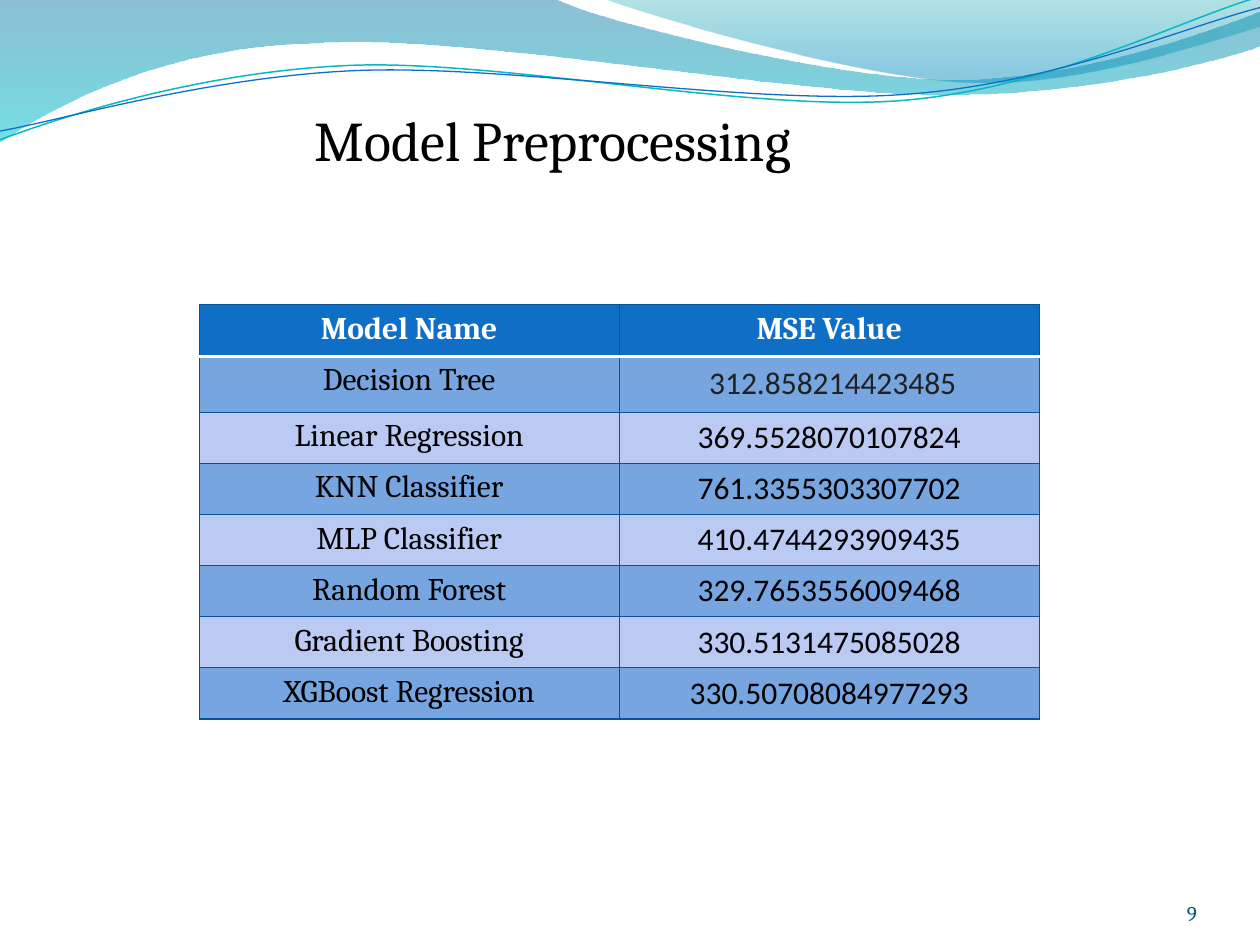
import math
from dataclasses import dataclass
from typing import Any, NamedTuple, Optional

import pptx
import pptx.dml.color
import pptx.enum.text
import pptx.oxml.ns
import pptx.util
from lxml import etree

Inches = pptx.util.Inches
Align = pptx.enum.text.PP_ALIGN
Anchor = pptx.enum.text.MSO_ANCHOR
Box = tuple[float, float, float, float]


@dataclass(frozen=True)
class Theme:
    serif: str = "Cambria"
    sans: str = "Calibri"
    blue: str = "0F6FC6"
    edge: str = "095295"
    white: str = "FFFFFF"
    black: str = "000000"
    grey: str = "212121"
    teal: str = "045D75"
    bands: tuple[str, str] = ("76A5E0", "BACAF2")
    title: int = 32
    body: int = 18
    small: int = 12


class Stop(NamedTuple):
    place: float
    color: str
    alpha: int


class Wave(NamedTuple):
    """Steps hold two numbers for a straight line, six for a Bezier curve."""
    box: Box
    start: tuple[float, float]
    steps: tuple[tuple[float, ...], ...]
    stops: tuple[Stop, ...] = ()
    color: str = ""
    width: float = 0
    turn: float = 0


class Label(NamedTuple):
    text: str
    box: Box
    size: int
    color: str
    align: Any
    frame: dict[str, Any]


class Row(NamedTuple):
    model: str
    value: str
    color: str = "000000"
    inset: Optional[float] = None


LOOK = Theme()

WAVES = (
    Wave((-0.01, -0.01, 10.02, 1.14), (0, 0), (
        (4.4, -0.01), (4.76, 0.17, 6.64, 0.63, 7.58, 0.63),
        (8.53, 0.63, 9.58, 0.26, 10, 0.09), (10.01, 0.36),
        (9.83, 0.44, 8.7, 0.76, 7.46, 0.75),
        (6.22, 0.75, 3.82, 0.28, 2.57, 0.34),
        (1.29, 0.36, 0.46, 0.83, -0.01, 1.13), (0, 0)),
        (Stop(0, "0074A1", 45), Stop(1, "00C6CF", 55))),
    Wave((4.79, -0.01, 5.21, 0.7), (4.79, -0.01), (
        (5.09, 0.11, 6.82, 0.62, 7.69, 0.65),
        (8.56, 0.69, 9.61, 0.32, 10, 0.21), (10, 0), (4.79, -0.01)),
        (Stop(0, "00A1A9", 30), Stop(0.8, "008BBF", 45))),
    Wave((-0.02, 0.22, 10.02, 0.71), (0, 1.11), (
        (0.48, 0.93, 1.58, 0.57, 2.77, 0.52),
        (3.95, 0.47, 5.93, 0.89, 7.13, 0.8),
        (8.33, 0.71, 9.38, 0.15, 9.98, -0.02)),
        color="0AB8BF", width=0.85, turn=-2.7),
    Wave((-0.02, 0.3, 10.03, 0.58), (0, 1.04), (
        (0.47, 0.96, 1.64, 0.61, 2.83, 0.56),
        (4.03, 0.51, 5.97, 0.84, 7.17, 0.75),
        (8.36, 0.67, 9.41, 0.21, 10, 0.06)),
        color=LOOK.blue, width=0.75, turn=-2.7),
)

HEADS = ("Model Name", "MSE Value")
ROWS = (
    Row("Decision Tree", " 312.858214423485", LOOK.grey, 0.07),
    Row("Linear Regression", "369.5528070107824"),
    Row("KNN Classifier", "761.3355303307702"),
    Row("MLP Classifier", "410.4744293909435"),
    Row("Random Forest", "329.7653556009468"),
    Row("Gradient Boosting", "330.5131475085028"),
    Row("XGBoost Regression", "330.50708084977293"),
)

LABELS = (
    Label("Model Preprocessing", (0.83, 0.79, 8, 0.64), LOOK.title, LOOK.black,
          Align.LEFT, {"margin_left": Inches(1.67)}),
    Label("9", (8.67, 6.95, 0.83, 0.4), LOOK.small, LOOK.teal, Align.RIGHT,
          {"vertical_anchor": Anchor.BOTTOM, "margin_left": 0,
           "margin_right": 0, "margin_top": 0, "margin_bottom": 0}),
)


def apply(item: Any, form: dict[str, Any]) -> None:
    for name, value in form.items():
        setattr(item, name, value)


def rgb(code: str) -> Any:
    return pptx.dml.color.RGBColor.from_string(code)


def child(node: Any, tag: str, **attrs: str) -> Any:
    return etree.SubElement(node, pptx.oxml.ns.qn(tag), attrs)


def write(frame: Any, text: str, align: Any, color: str, form: dict[str, Any]) -> None:
    para = frame.paragraphs[0]
    para.alignment = align
    run = para.add_run()
    run.text = text
    apply(run.font, form)
    run.font.color.rgb = rgb(color)


def bend(shape: Any, wave: Wave) -> None:
    """Give a freeform true curves, laid out in its unturned box."""
    left, top, wide, high = wave.box
    mid_x, mid_y = left + wide / 2, top + high / 2
    cos, sin = math.cos(math.radians(-wave.turn)), math.sin(math.radians(-wave.turn))
    route = shape._element.find(".//" + pptx.oxml.ns.qn("a:path"))
    for old in list(route):
        route.remove(old)
    apply(shape, dict(zip(("left", "top", "width", "height"), map(Inches, wave.box))))
    shape.rotation = wave.turn
    route.set("w", str(Inches(wide)))
    route.set("h", str(Inches(high)))
    for i, step in enumerate((wave.start, *wave.steps)):
        tag = "a:moveTo" if i == 0 else "a:cubicBezTo" if len(step) == 6 else "a:lnTo"
        node = child(route, tag)
        for x, y in zip(step[::2], step[1::2]):
            x, y = x - mid_x, y - mid_y
            child(node, "a:pt", x=str(Inches(x * cos - y * sin + wide / 2)),
                  y=str(Inches(x * sin + y * cos + high / 2)))
    if wave.stops:
        child(route, "a:close")


def draw_wave(slide: Any, wave: Wave) -> None:
    pen = slide.shapes.build_freeform(*map(Inches, wave.start))
    pen.add_line_segments([tuple(map(Inches, step[-2:])) for step in wave.steps],
                          close=False)
    shape = pen.convert_to_shape()
    bend(shape, wave)
    shape.shadow.inherit = False
    if not wave.stops:
        shape.fill.background()
        shape.line.color.rgb = rgb(wave.color)
        shape.line.width = pptx.util.Pt(wave.width)
        return
    shape.line.fill.background()
    shape.fill.gradient()
    shape.fill.gradient_angle = 270
    for slot, stop in zip(shape.fill.gradient_stops, wave.stops):
        slot.position = stop.place
        slot.color.rgb = rgb(stop.color)
    tints = shape._element.spPr.findall(".//" + pptx.oxml.ns.qn("a:srgbClr"))
    for tint, stop in zip(tints, wave.stops):
        child(tint, "a:alpha", val=str(stop.alpha * 1000))


def draw_label(slide: Any, label: Label) -> None:
    frame = slide.shapes.add_textbox(*map(Inches, label.box)).text_frame
    apply(frame, {"word_wrap": True, **label.frame})
    write(frame, label.text, label.align, label.color,
          {"name": LOOK.serif, "size": pptx.util.Pt(label.size)})


def edge_cell(cell: Any, rule: Optional[str]) -> None:
    """Border a cell; rule names the side that carries the white line."""
    props = cell._tc.get_or_add_tcPr()
    for spot, side in enumerate(("lnL", "lnR", "lnT", "lnB")):
        color, width = (LOOK.white, 2) if side == rule else (LOOK.edge, 0.75)
        line = child(props, "a:" + side, w=str(pptx.util.Pt(width)))
        child(child(line, "a:solidFill"), "a:srgbClr", val=color)
        props.insert(spot, line)


def fill_cell(cell: Any, text: str, back: str, color: str, face: str,
              bold: bool = False, rule: Optional[str] = None) -> None:
    cell.fill.solid()
    cell.fill.fore_color.rgb = rgb(back)
    write(cell.text_frame, text, Align.CENTER, color,
          {"name": face, "size": pptx.util.Pt(LOOK.body), "bold": bold})
    edge_cell(cell, rule)


def draw_table(slide: Any) -> None:
    count, high = len(ROWS) + 1, 3.25
    table = slide.shapes.add_table(count, 2, Inches(1.58), Inches(2.42),
                                   Inches(6.67), Inches(high)).table
    table.horz_banding = False
    for col, head in enumerate(HEADS):
        fill_cell(table.cell(0, col), head, LOOK.blue, LOOK.white, LOOK.serif,
                  True, "lnB")
    for i, row in enumerate(ROWS):
        back = LOOK.bands[i % 2]
        rule = "lnT" if i == 0 else None
        name, value = table.cell(i + 1, 0), table.cell(i + 1, 1)
        fill_cell(name, row.model, back, LOOK.black, LOOK.serif, rule=rule)
        fill_cell(value, row.value, back, row.color, LOOK.sans, rule=rule)
        if row.inset is not None:
            apply(value, {"margin_" + side: Inches(row.inset)
                          for side in ("left", "right", "top", "bottom")})


def main() -> None:
    deck = pptx.Presentation()
    apply(deck, {"slide_width": Inches(10), "slide_height": Inches(7.5)})
    slide = deck.slides.add_slide(deck.slide_layouts[6])
    # Waves along the top
    for wave in WAVES:
        draw_wave(slide, wave)
    # Error of each model
    draw_table(slide)
    # Title and page number
    for label in LABELS:
        draw_label(slide, label)
    deck.save("out.pptx")


if __name__ == "__main__":
    main()
